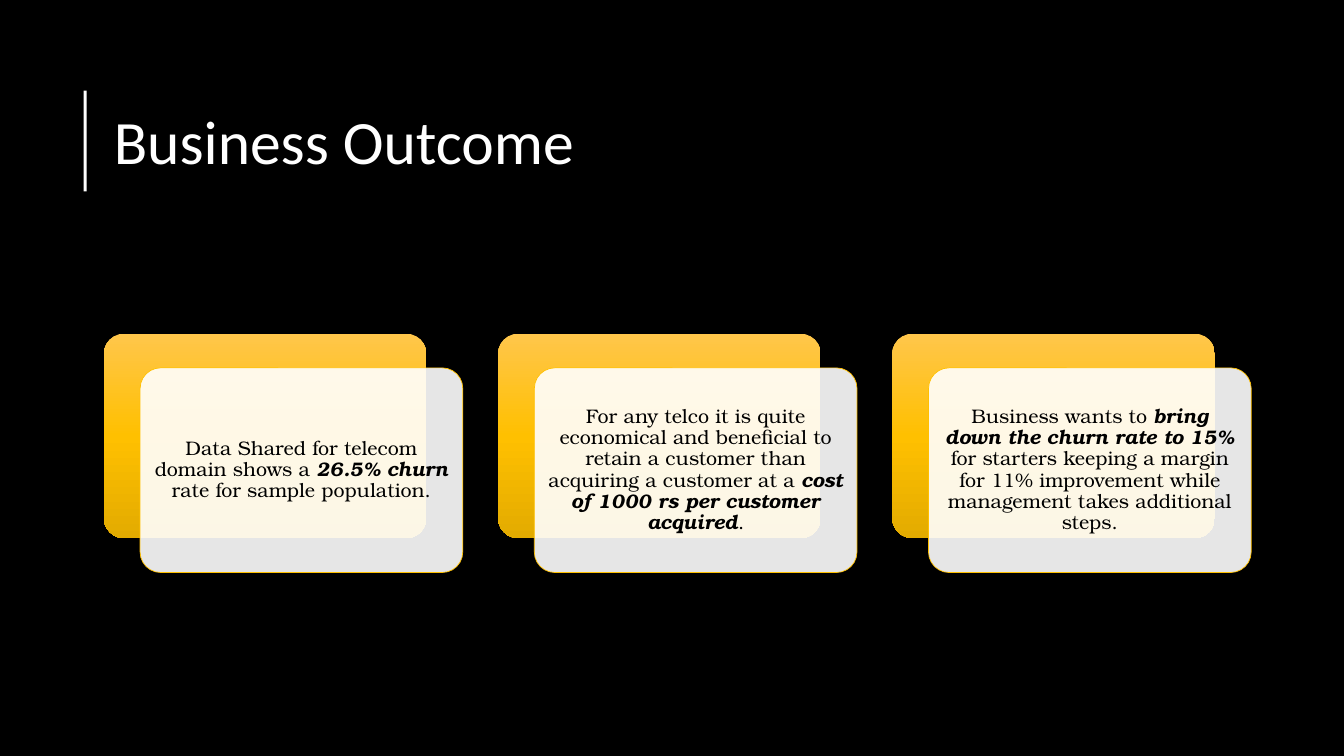
from lxml import etree
from pptx import Presentation
from pptx.dml.color import RGBColor
from pptx.enum import shapes, text
from pptx.oxml.ns import qn
from pptx.util import Inches, Pt

# Content: each card is a list of (words, emphasised) runs
TITLE = "Business Outcome"
CARDS = [
    [("Data Shared for telecom domain shows a ", False),
     ("26.5% churn", True),
     (" rate for sample population.", False)],
    [("For any telco it is quite economical and beneficial to retain a customer "
      "than acquiring a customer at a ", False),
     ("cost of 1000 rs per customer acquired", True),
     (".", False)],
    [("Business wants to ", False),
     ("bring down the churn rate to 15%", True),
     (" for starters keeping a margin for 11% improvement while management "
      "takes additional steps.", False)],
]

THEME = {
    "black": "000000", "white": "FFFFFF", "gold": "FFC000",
    "gradient": [(0, "FFC64B"), (50, "FFC000"), (100, "E3AB00")],
    "title_font": "Calibri", "title_size": 44,
    "body_font": "TeX Gyre Bonum", "body_size": 14,
}

# Card geometry in inches
CARD_W, CARD_H, CARD_TOP, CARD_LEFT, CARD_PITCH = 3.2, 2.03, 3.31, 1.03, 3.91
FRONT_DX, FRONT_DY = 0.36, 0.34
TEXT_INSET = 0.06

prs = Presentation()
prs.slide_width, prs.slide_height = Inches(13.33), Inches(7.5)
slide = prs.slides.add_slide(prs.slide_layouts[6])


def add_box(left, top, width, height, color, rounded=False):
    kind = shapes.MSO_SHAPE.ROUNDED_RECTANGLE if rounded else shapes.MSO_SHAPE.RECTANGLE
    sp = slide.shapes.add_shape(kind, *map(Inches, (left, top, width, height)))
    sp.shadow.inherit = False
    sp.fill.solid()
    sp.fill.fore_color.rgb = RGBColor.from_string(color)
    sp.line.fill.background()
    if rounded:
        sp.adjustments[0] = 0.1
    return sp


def set_gradient(sp, stops):
    """Fill a shape with colour stops running from top to bottom."""
    sp.fill.gradient()
    sp.fill.gradient_angle = 270
    gs_list = sp.fill._fill._gradFill.find(qn("a:gsLst"))
    for gs in list(gs_list):
        gs_list.remove(gs)
    for pos, color in stops:
        gs = etree.SubElement(gs_list, qn("a:gs"), pos=str(pos * 1000))
        etree.SubElement(gs, qn("a:srgbClr"), val=color)


def set_opacity(sp, percent):
    clr = sp._element.spPr.find(qn("a:solidFill")).find(qn("a:srgbClr"))
    etree.SubElement(clr, qn("a:alpha"), val=str(percent * 1000))


def add_text(left, top, width, height, runs, font, size, color, align, inset=None):
    sp = slide.shapes.add_textbox(*map(Inches, (left, top, width, height)))
    tf = sp.text_frame
    tf.word_wrap = True
    tf.vertical_anchor = text.MSO_ANCHOR.MIDDLE
    if inset is not None:
        tf.margin_left = tf.margin_right = tf.margin_top = tf.margin_bottom = Inches(inset)
    p = tf.paragraphs[0]
    p.alignment = align
    p.line_spacing = 0.9
    for words, strong in runs:
        r = p.add_run()
        r.text = words
        r.font.name, r.font.size = font, Pt(size)
        r.font.bold = r.font.italic = strong
        r.font.color.rgb = RGBColor.from_string(color)


# Backdrop, title and accent bar
add_box(0, 0, 13.33, 7.5, THEME["black"])
add_text(1.03, 0.78, 11.39, 1.31, [(TITLE, False)], font=THEME["title_font"],
         size=THEME["title_size"], color=THEME["white"], align=text.PP_ALIGN.LEFT)
add_box(0.83, 0.9, 0.03, 1, THEME["white"])

# Cards: gold plate behind, translucent white panel in front
for i, runs in enumerate(CARDS):
    left = CARD_LEFT + i * CARD_PITCH
    plate = add_box(left, CARD_TOP, CARD_W, CARD_H, THEME["gold"], rounded=True)
    set_gradient(plate, THEME["gradient"])

    x, y = left + FRONT_DX, CARD_TOP + FRONT_DY
    panel = add_box(x, y, CARD_W, CARD_H, THEME["white"], rounded=True)
    set_opacity(panel, 90)
    panel.line.color.rgb = RGBColor.from_string(THEME["gold"])
    panel.line.width = Pt(0.5)

    add_text(x + TEXT_INSET, y + TEXT_INSET, CARD_W - 2 * TEXT_INSET,
             CARD_H - 2 * TEXT_INSET, runs, font=THEME["body_font"],
             size=THEME["body_size"], color=THEME["black"],
             align=text.PP_ALIGN.CENTER, inset=TEXT_INSET)

prs.save("out.pptx")
